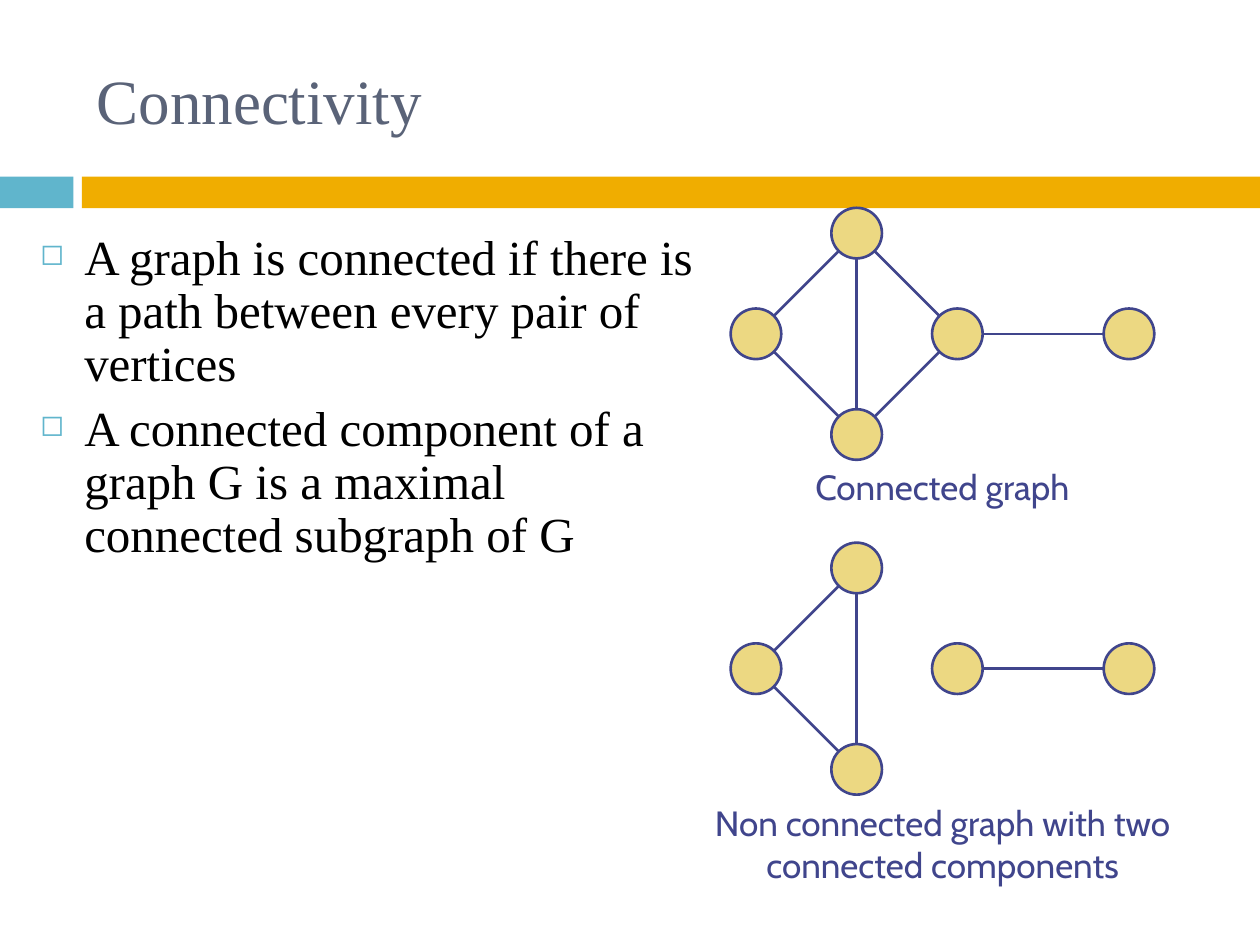
from math import hypot

from lxml.etree import SubElement as Sub
from pptx import Presentation as Deck
from pptx.dml.color import RGBColor as Rgb
from pptx.enum.shapes import MSO_CONNECTOR as Link, MSO_SHAPE as Form
from pptx.enum.text import MSO_ANCHOR as Anchor, PP_ALIGN as Align
from pptx.oxml.ns import qn
from pptx.util import Cm, Pt

COLORS = {
    "title": "5A6378",
    "body": "000000",
    "teal": "60B5CC",
    "gold": "F0AD00",
    "node": "ECD882",
    "edge": "40458C",
}
SERIF, SANS = "Times New Roman", "Cabin"
RADIUS = 0.51
NODES = {
    "right": (19.3, 6.73),
    "left": (15.24, 6.73),
    "top": (17.27, 4.7),
    "low": (17.27, 8.76),
    "far": (22.76, 6.73),
}
SPLIT = [("top", "left"), ("low", "left"), ("top", "low"), ("right", "far")]
JOINED = SPLIT + [("low", "right"), ("top", "right")]
POINTS = [
    "A graph is connected if there is a path between every pair of vertices",
    "A connected component of a graph G is a maximal connected subgraph of G",
]


class Painter:
    def __init__(self, slide):
        self.slide = slide

    def color(self, name):
        return Rgb.from_string(COLORS[name])

    def shape(self, home, form, box, fill, line=None):
        item = home.add_shape(form, *map(Cm, box))
        item.shadow.inherit = False
        item.fill.solid()
        item.fill.fore_color.rgb = self.color(fill)
        if line:
            item.line.color.rgb = self.color(line)
            item.line.width = Pt(1.5)
        else:
            item.line.fill.background()

    def bar(self, left, width, fill):
        box = (left, 3.56, width, 0.64)
        self.shape(self.slide.shapes, Form.RECTANGLE, box, fill)

    def bullet(self, par):
        par.line_spacing = 0.9
        par.space_before = Pt(7)
        props = par._p.get_or_add_pPr()
        props.set("marL", str(Cm(0.89)))
        props.set("indent", str(-Cm(0.89)))
        tint = Sub(props, qn("a:buClr"))
        Sub(tint, qn("a:srgbClr"), val=COLORS["teal"])
        Sub(props, qn("a:buSzPct"), val="60000")
        Sub(props, qn("a:buChar"), char="◻")

    def text(self, box, lines, size, face, tint, align=Align.LEFT,
             anchor=Anchor.TOP, bullets=False):
        frame = self.slide.shapes.add_textbox(*map(Cm, box)).text_frame
        frame.word_wrap = True
        frame.vertical_anchor = anchor
        frame.text = "\n".join(lines)
        for par in frame.paragraphs:
            par.alignment = align
            if bullets:
                self.bullet(par)
            par.font.size = Pt(size)
            par.font.name = face
            par.font.color.rgb = self.color(tint)

    def edge(self, home, start, end):
        (ax, ay), (bx, by) = start, end
        span = hypot(bx - ax, by - ay)
        dx, dy = (bx - ax) / span * RADIUS, (by - ay) / span * RADIUS
        ends = (ax + dx, ay + dy, bx - dx, by - dy)
        line = home.add_connector(Link.STRAIGHT, *map(Cm, ends))
        line.line.color.rgb = self.color("edge")
        line.line.width = Pt(1.5)
        Sub(line._element.spPr, qn("a:effectLst"))

    def graph(self, drop, edges):
        home = self.slide.shapes.add_group_shape().shapes
        spots = {name: (x, y + drop) for name, (x, y) in NODES.items()}
        for x, y in spots.values():
            box = (x - RADIUS, y - RADIUS, 2 * RADIUS, 2 * RADIUS)
            self.shape(home, Form.OVAL, box, "node", "edge")
        for start, end in edges:
            self.edge(home, spots[start], spots[end])

    def label(self, box, words):
        self.text(box, [words], 20, SANS, "edge", Align.CENTER)


def main():
    deck = Deck()
    deck.slide_width, deck.slide_height = Cm(25.4), Cm(19.05)
    pen = Painter(deck.slides.add_slide(deck.slide_layouts[6]))
    pen.bar(0, 1.48, "teal")
    pen.bar(1.65, 23.75, "gold")
    pen.text((1.7, 0.64, 22.66, 2.74), ["Connectivity"], 36, SERIF, "title",
             anchor=Anchor.MIDDLE)
    pen.text((0.56, 4.57, 13.87, 7.24), POINTS, 28, SERIF, "body",
             bullets=True)
    pen.graph(0, JOINED)
    pen.label((15.04, 9.25, 7.92, 1.09), "Connected graph")
    pen.graph(6.75, SPLIT)
    pen.label((13.94, 16.03, 10.13, 1.96),
              "Non connected graph with two connected components")
    deck.save("out.pptx")


if __name__ == "__main__":
    main()
